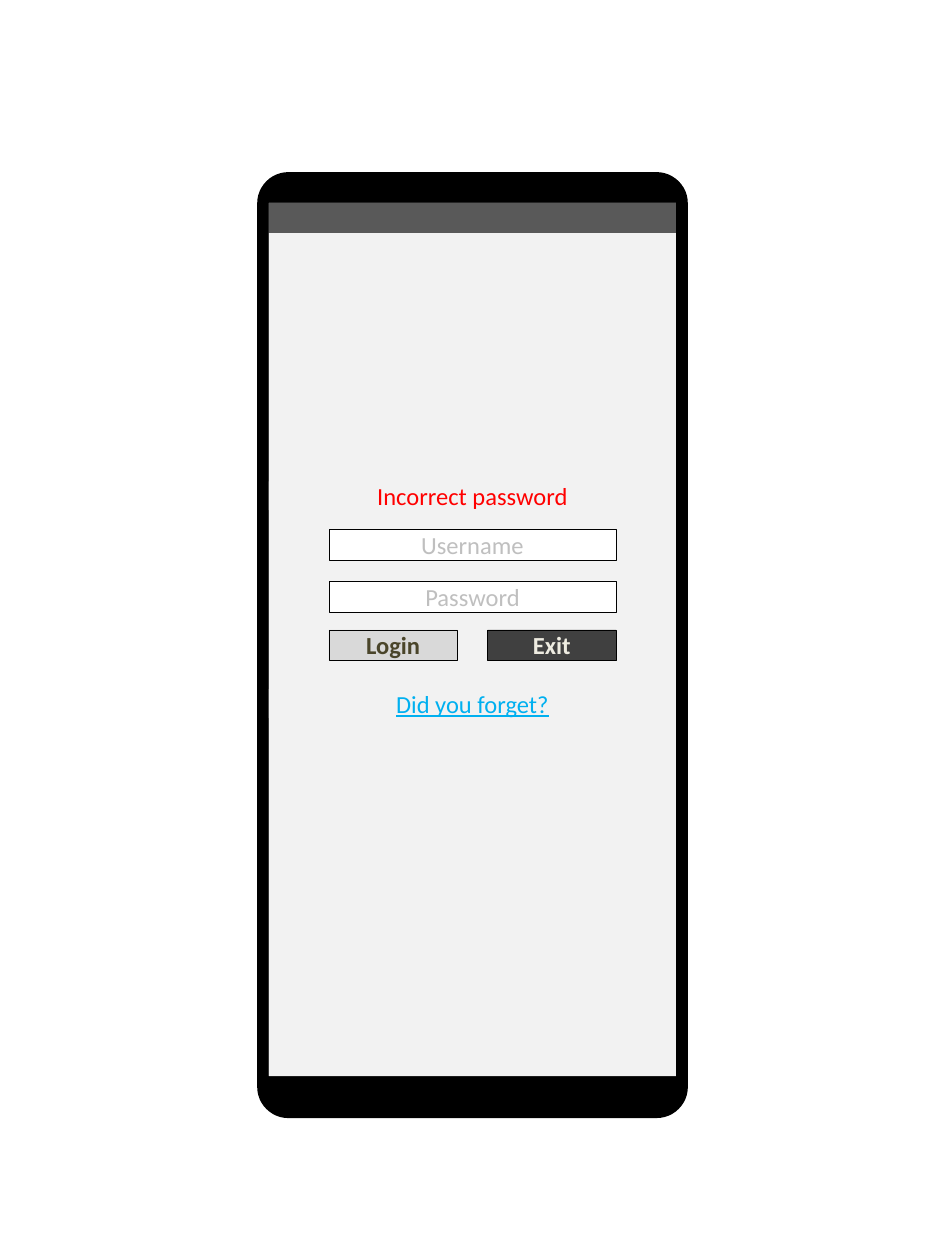
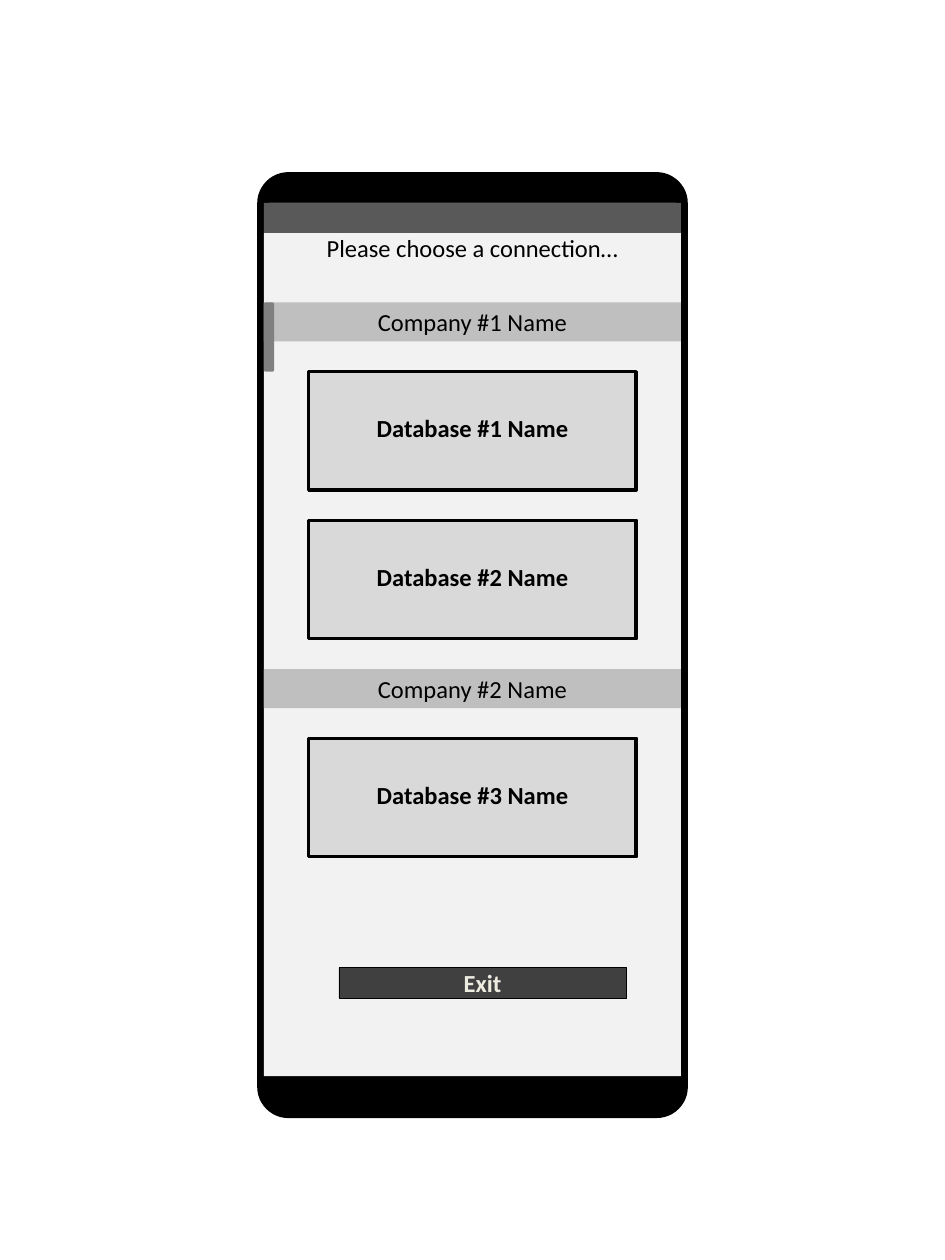
from pptx import Presentation
from pptx.dml.color import RGBColor
from pptx.enum.shapes import MSO_SHAPE as Shape
from pptx.enum.text import MSO_ANCHOR as Anchor, PP_ALIGN as Align
from pptx.util import Inches, Pt

COLORS = {
    "black": "000000", "white": "FFFFFF", "screen": "F2F2F2",
    "status": "595959", "button": "D9D9D9", "exit": "404040",
    "band": "BFBFBF", "scroll": "808080", "hint": "BFBFBF",
    "login": "4A452A", "cream": "EEECE1", "link": "00B0F0", "error": "FF0000",
}
FONT, TEXT_SIZE = "Calibri", 14

ERROR = "Incorrect password"
FIELDS = ["Username", "Password"]
BUTTONS = [("Login", "button", "login"), ("Exit", "exit", "cream")]
FORGOT = "Did you forget?"
PROMPT = "Please choose a connection…"
COMPANIES = [
    ("Company #1 Name", ["Database #1 Name", "Database #2 Name"]),
    ("Company #2 Name", ["Database #3 Name"]),
]

PAGE_W, PAGE_H = 7.5, 10
SCREEN_TOP, STATUS_H, SCREEN_H = 1.61, 0.24, 6.93
BODY_TOP = SCREEN_TOP + STATUS_H
LOGIN_W, LIST_W = 3.23, 3.31
FIELD_W, FIELD_H, FIELD_PITCH = 2.28, 0.25, 0.41
BUTTON_W, BUTTON_H = 1.02, 0.24
LABEL_H = 0.23
BAND_H, CARD_W, CARD_H, LIST_GAP = 0.31, 2.6, 0.94, 0.24


def centered(width):
    return (PAGE_W - width) / 2


def write(box, text, color="black", bold=False, underline=False):
    frame = box.text_frame
    frame.word_wrap = True
    frame.vertical_anchor = Anchor.MIDDLE
    frame.margin_left = frame.margin_right = Inches(0.1)
    frame.margin_top = frame.margin_bottom = 0
    paragraph = frame.paragraphs[0]
    paragraph.alignment = Align.CENTER
    run = paragraph.add_run()
    run.text = text
    run.font.name, run.font.size = FONT, Pt(TEXT_SIZE)
    run.font.bold, run.font.underline = bold, underline
    run.font.color.rgb = RGBColor.from_string(COLORS[color])


def block(canvas, left, top, width, height, fill, border=None, rounding=None, text=None, **style):
    kind = Shape.RECTANGLE if rounding is None else Shape.ROUNDED_RECTANGLE
    box = canvas.add_shape(kind, *map(Inches, (left, top, width, height)))
    box.shadow.inherit = False
    if rounding is not None:
        box.adjustments[0] = rounding
    box.fill.solid()
    box.fill.fore_color.rgb = RGBColor.from_string(COLORS[fill])
    if border:
        box.line.color.rgb = RGBColor.from_string(COLORS["black"])
        box.line.width = Pt(border)
    else:
        box.line.fill.background()
    if text:
        write(box, text, **style)


def phone(deck, width):
    slide = deck.slides.add_slide(deck.slide_layouts[6])
    canvas = slide.shapes.add_group_shape().shapes
    left = centered(width)
    block(canvas, centered(3.39), 1.38, 3.39, 7.48, "black", border=2, rounding=0.069)
    block(canvas, centered(LOGIN_W), SCREEN_TOP, LOGIN_W, SCREEN_H, "screen", rounding=0)
    block(canvas, left, SCREEN_TOP, width, STATUS_H, "status")
    block(canvas, left, BODY_TOP, width, SCREEN_H - STATUS_H, "screen")
    return canvas


def label(canvas, top, text, **style):
    block(canvas, centered(LOGIN_W), top, LOGIN_W, LABEL_H, "screen", text=text, **style)


def login_slide(deck):
    canvas = phone(deck, LOGIN_W)
    left = centered(FIELD_W)
    for row, field in enumerate(FIELDS):
        block(canvas, left, 4.2 + row * FIELD_PITCH, FIELD_W, FIELD_H, "white",
              border=0.25, text=field, color="hint")
    for column, (name, fill, color) in enumerate(BUTTONS):
        block(canvas, left + column * (FIELD_W - BUTTON_W), 5, BUTTON_W, BUTTON_H, fill,
              border=0.25, text=name, color=color, bold=True)
    label(canvas, 5.47, FORGOT, color="link", underline=True)
    label(canvas, 3.82, ERROR, color="error")


def connection_slide(deck):
    canvas = phone(deck, LIST_W)
    list_left, list_top = centered(LIST_W), 2.4
    top = list_top
    for company, databases in COMPANIES:
        block(canvas, list_left, top, LIST_W, BAND_H, "band", text=company)
        top += BAND_H + LIST_GAP
        for database in databases:
            block(canvas, centered(CARD_W), top, CARD_W, CARD_H, "button", border=2)
            block(canvas, centered(2.45), top + 0.32, 2.45, FIELD_H, "button",
                  text=database, bold=True)
            top += CARD_H + LIST_GAP
    name, fill, color = BUTTONS[-1]
    block(canvas, 2.69, 7.68, FIELD_W, BUTTON_H, fill,
          border=0.25, text=name, color=color, bold=True)
    label(canvas, BODY_TOP, PROMPT)
    block(canvas, list_left, list_top, 0.08, BAND_H + LIST_GAP, "scroll", rounding=0.17)


deck = Presentation()
deck.slide_width, deck.slide_height = Inches(PAGE_W), Inches(PAGE_H)
login_slide(deck)
connection_slide(deck)
deck.save("out.pptx")
